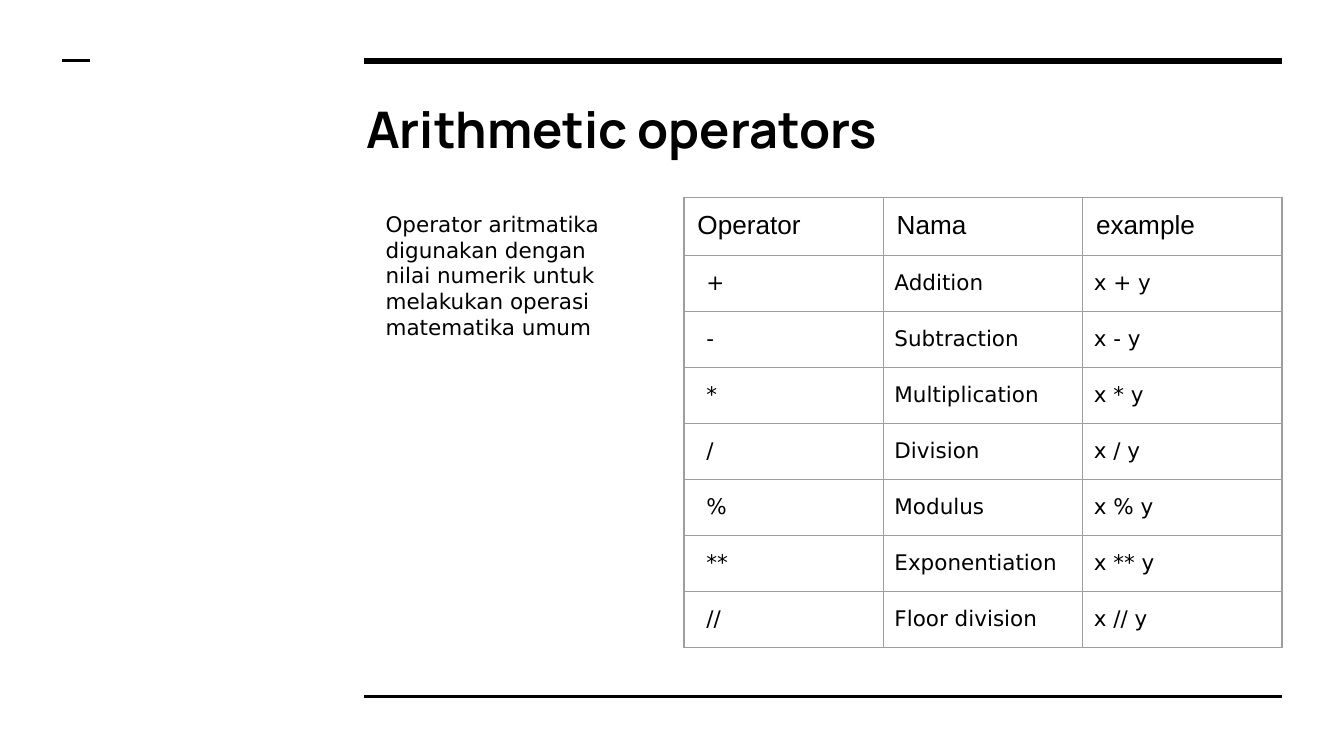
from lxml import etree
from pptx import Presentation
from pptx import util as u
from pptx.dml.color import RGBColor
from pptx.enum import shapes, text
from pptx.oxml import ns

BLACK = RGBColor(0x00, 0x00, 0x00)
GREY = RGBColor(0x9E, 0x9E, 0x9E)


def set_font(para, name, size, bold=False):
    para.font.name = name
    para.font.size = u.Pt(size)
    para.font.bold = bold
    para.font.color.rgb = BLACK


def add_text(page, left, top, width, height, words):
    box = page.shapes.add_textbox(u.Pt(left), u.Pt(top), u.Pt(width), u.Pt(height))
    frame = box.text_frame
    frame.word_wrap = True
    frame.margin_left = frame.margin_right = u.Pt(7.2)
    frame.margin_top = frame.margin_bottom = u.Pt(7.2)
    frame.text = words
    return frame


deck = Presentation()
deck.slide_width, deck.slide_height = u.Pt(720), u.Pt(405)
page = deck.slides.add_slide(deck.slide_layouts[6])

rules = [(195, 687, 32.6, 3), (195, 687, 373, 1.5), (33.5, 48, 32.6, 1.5)]
for start, end, y, weight in rules:
    rule = page.shapes.add_connector(
        shapes.MSO_CONNECTOR.STRAIGHT, u.Pt(start), u.Pt(y), u.Pt(end), u.Pt(y)
    )
    rule.line.color.rgb = BLACK
    rule.line.width = u.Pt(weight)
    etree.SubElement(rule.element.spPr, ns.qn("a:effectLst"))

title = add_text(page, 189, 45.5, 497.8, 49.5, "Arithmetic operators")
set_font(title.paragraphs[0], "Manrope", 27, bold=True)

rows = [
    ("Operator", "Nama", "example"),
    ("+", "Addition", "x + y"),
    ("-", "Subtraction", "x - y"),
    ("*", "Multiplication", "x * y"),
    ("/", "Division", "x / y"),
    ("%", "Modulus", "x % y"),
    ("**", "Exponentiation", "x ** y"),
    ("//", "Floor division", "x // y"),
]
row_height, column_width = 30, 106.8
table = page.shapes.add_table(
    len(rows), 3, u.Pt(366.4), u.Pt(105.8),
    u.Pt(column_width * 3), u.Pt(row_height * len(rows)),
).table
table.first_row = table.horz_banding = False
for column in table.columns:
    column.width = u.Pt(column_width)

for r, words in enumerate(rows):
    table.rows[r].height = u.Pt(row_height)
    for c, word in enumerate(words):
        cell = table.cell(r, c)
        cell.text = word
        para = cell.text_frame.paragraphs[0]
        if r == 0:
            inset = indent = 7.2
            set_font(para, "Arial", 14)
        else:
            inset = 6
            indent = 12 if c == 0 else inset
            set_font(para, "DejaVu Sans", 11.5)
            para.line_spacing = 1.15
            para.space_before = para.space_after = u.Pt(15)
        cell.margin_left = u.Pt(indent)
        cell.margin_right = cell.margin_top = cell.margin_bottom = u.Pt(inset)
        properties = cell._tc.get_or_add_tcPr()
        for side in ("a:lnL", "a:lnR", "a:lnT", "a:lnB"):
            border = etree.SubElement(properties, ns.qn(side), w=str(u.Pt(0.75)))
            paint = etree.SubElement(border, ns.qn("a:solidFill"))
            etree.SubElement(paint, ns.qn("a:srgbClr"), val=str(GREY))
        cell.fill.background()

intro = add_text(
    page, 199.5, 105.8, 147, 84.2,
    "Operator aritmatika digunakan dengan nilai numerik untuk melakukan operasi matematika umum",
)
intro.auto_size = text.MSO_AUTO_SIZE.SHAPE_TO_FIT_TEXT
set_font(intro.paragraphs[0], "DejaVu Sans", 11.5)

deck.save("out.pptx")
